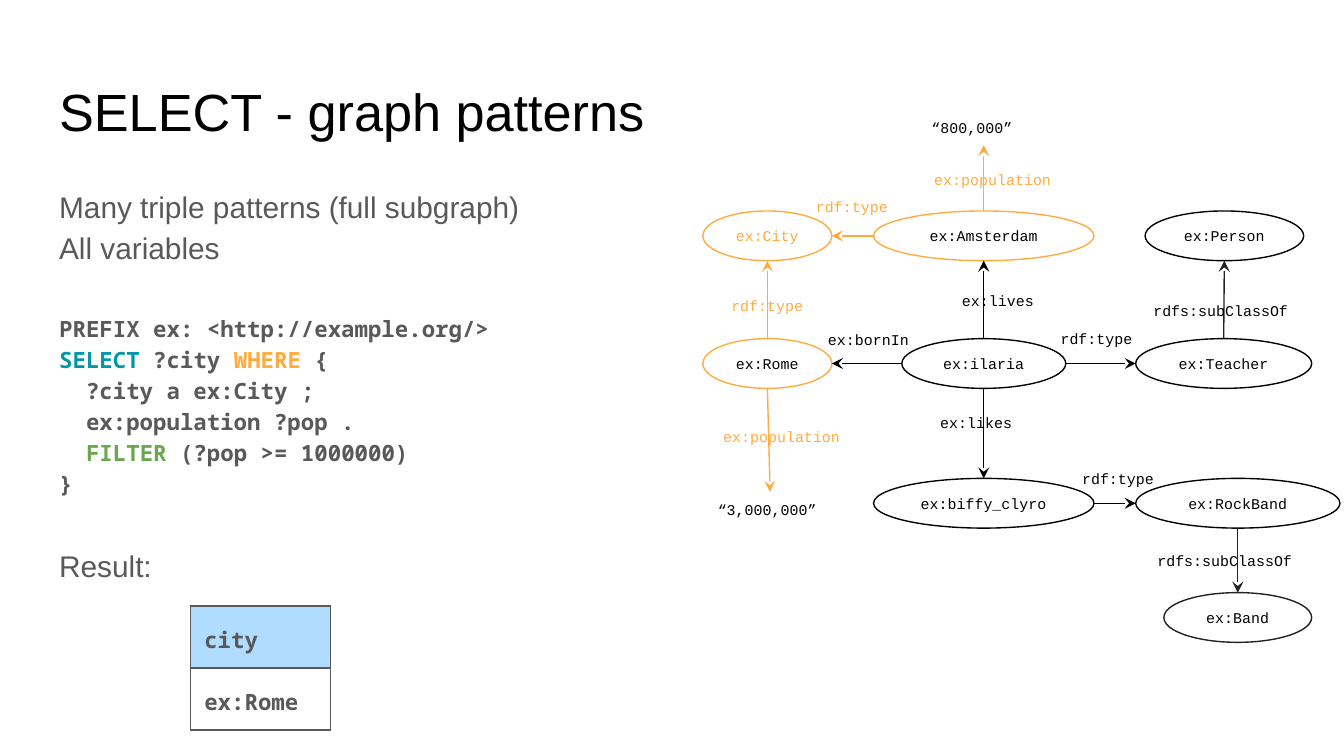
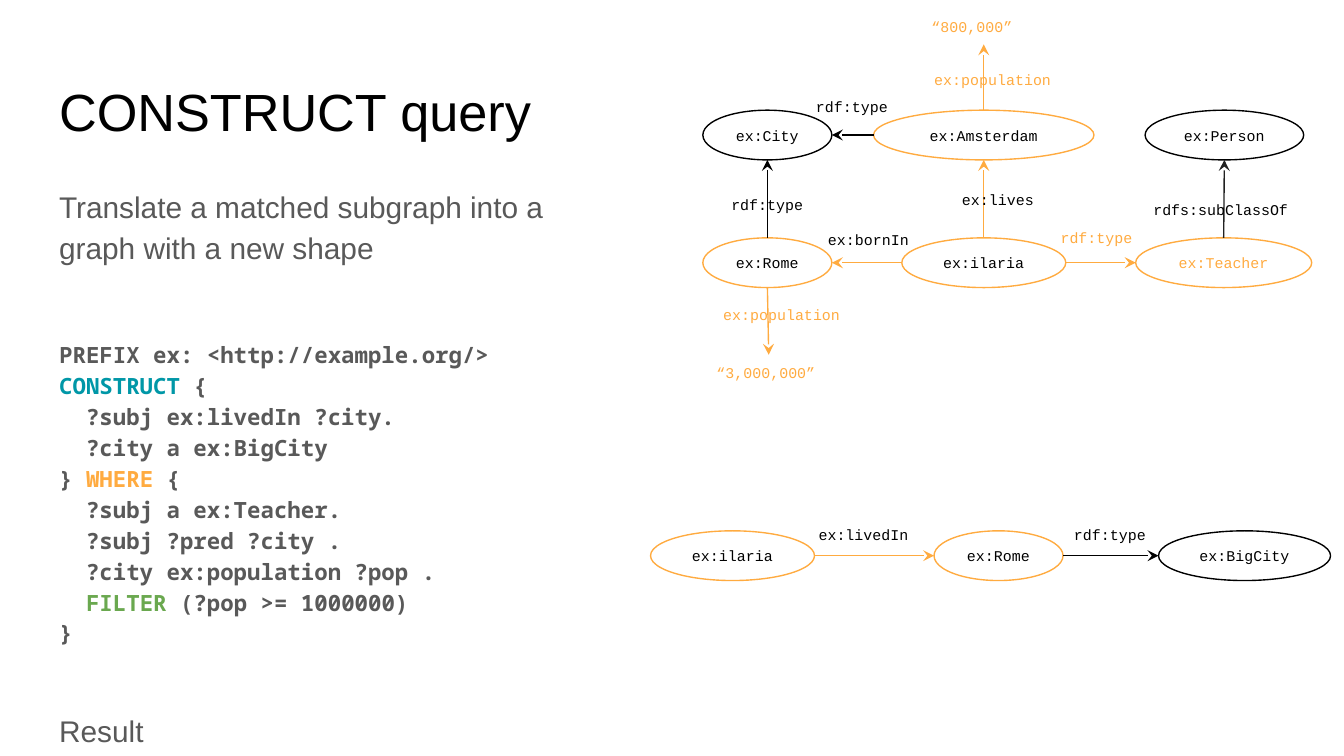
from lxml import etree
from pptx import Presentation
from pptx.dml.color import RGBColor
from pptx.enum.shapes import MSO_CONNECTOR, MSO_SHAPE
from pptx.enum.text import MSO_ANCHOR, MSO_AUTO_SIZE, PP_ALIGN
from pptx.oxml.ns import qn
from pptx.util import Pt

PX = 9144
WIDE, HIGH = 1000, 562.5
LEFT, MID = PP_ALIGN.LEFT, PP_ALIGN.CENTER
TOP, CENTRE = MSO_ANCHOR.TOP, MSO_ANCHOR.MIDDLE
FIXED = MSO_AUTO_SIZE.NONE
OVAL, ROUND = MSO_SHAPE.OVAL, MSO_SHAPE.ROUNDED_RECTANGLE
LINE = MSO_CONNECTOR.STRAIGHT

BLACK, DARK, GREY, GOLD, BLUE = "000000", "212121", "595959", "FFAB40", "0092FF"
HUES = {"SELECT": "0097A7", "CONSTRUCT": "0097A7", "WHERE": GOLD, "FILTER": "6AA84F"}
SANS, MONO, NODE = "Arial", "Noto Sans Mono", "Courier New"
PROSE = (SANS, 16, False, 22.2)
CODE = (MONO, 12, True, 16.55)
UP, WEST, DOWN, EAST = range(4)
OVAL_H, TAG_H = 37, 26

CITY, AMS, ROME = "ex:City", "ex:Amsterdam", "ex:Rome"
ME, TEACH, MAN = "ex:ilaria", "ex:Teacher", "ex:Person"
ACT, ROCK, BAND, BIG = "ex:biffy_clyro", "ex:RockBand", "ex:Band", "ex:BigCity"
SMALL, LARGE = "“800,000”", "“3,000,000”"
TYPE, SUB, POP = "rdf:type", "rdfs:subClassOf", "ex:population"

BASE_NODES = {
    CITY: (0, 0, 96), AMS: (127, 0, 164), MAN: (329, 0, 118),
    ROME: (0, 95, 96), ME: (148, 95, 122), TEACH: (322, 95, 131),
    SMALL: (159, -75, 100),
}
BASE_EDGES = [
    (AMS, WEST, CITY, EAST, TYPE, (73, -16, 88, TAG_H)),
    (AMS, UP, SMALL, DOWN, POP, (161, -36, 121, TAG_H)),
    (ROME, UP, CITY, DOWN, TYPE, (10, 57, 88, TAG_H)),
    (ME, UP, AMS, DOWN, "ex:lives", (182, 57, 79, 19)),
    (ME, WEST, ROME, EAST, "ex:bornIn", (82, 83, 100, TAG_H)),
    (ME, EAST, TEACH, WEST, TYPE, (255, 82, 88, TAG_H)),
    (TEACH, UP, MAN, DOWN, SUB, (324, 61, 125, TAG_H)),
]
BAND_EDGES = [
    (ME, DOWN, ACT, UP, "ex:likes", (165, 139, 96, OVAL_H)),
    (ACT, EAST, ROCK, WEST, TYPE, (271, 186, 88, TAG_H)),
    (ROCK, DOWN, BAND, UP, SUB, (327, 247, 125, TAG_H)),
]
DARK_EDGES = {(TEACH, MAN), (ROCK, BAND)}


def rgb(code):
    return RGBColor.from_string(code)


def emu(*sizes):
    return [int(size * PX) for size in sizes]


def place(shape, box):
    shape.left, shape.top, shape.width, shape.height = emu(*box)


def pad(frame, anchor):
    frame.margin_left = frame.margin_right = 10 * PX
    frame.margin_top = frame.margin_bottom = 10 * PX
    frame.vertical_anchor = anchor
    frame.word_wrap = True
    frame.auto_size = FIXED


def write(para, text, face, size, hue, bold=False):
    run = para.add_run()
    run.text = text
    run.font.name, run.font.size, run.font.bold = face, Pt(size), bold
    run.font.color.rgb = rgb(hue)


def title(slide, text):
    shape = slide.shapes.title
    place(shape, (34, 49, 932, 63))
    pad(shape.text_frame, TOP)
    para = shape.text_frame.paragraphs[0]
    para.alignment, para.line_spacing = LEFT, Pt(33.5)
    write(para, text, SANS, 28, BLACK)


def body(slide, width, blocks):
    shape = slide.placeholders[1]
    place(shape, (34, 126, width, 374))
    frame = shape.text_frame
    pad(frame, TOP)
    para = None
    for gap, (face, size, bold, pitch), lines in blocks:
        for row, line in enumerate(lines):
            para = frame.add_paragraph() if para else frame.paragraphs[0]
            props = para._p.get_or_add_pPr()
            props.set("marL", "0")
            props.set("indent", "0")
            etree.SubElement(props, qn("a:buNone"))
            para.alignment = LEFT
            para.line_spacing = Pt(pitch)
            para.space_before = Pt(0 if row else gap)
            for part in line.split("|"):
                if part:
                    write(para, part, face, size, HUES.get(part, GREY), bold)


def block(slide, kind, box, text, ink, ring=None):
    shape = slide.shapes.add_shape(kind, *emu(*box))
    shape.shadow.inherit = False
    shape.fill.background()
    if ring:
        shape.line.color.rgb = rgb(ring)
        shape.line.width = Pt(0.75)
    else:
        shape.line.fill.background()
    pad(shape.text_frame, CENTRE)
    para = shape.text_frame.paragraphs[0]
    para.alignment = MID if ring else LEFT
    write(para, text, NODE, 8, ink)
    return shape


def port(shape, side):
    mid_x, mid_y = shape.left + shape.width // 2, shape.top + shape.height // 2
    return [(mid_x, shape.top), (shape.left, mid_y),
            (mid_x, shape.top + shape.height), (shape.left + shape.width, mid_y)][side]


def arrow(slide, start, out, end, into, hue):
    link = slide.shapes.add_connector(LINE, *port(start, out), *port(end, into))
    if end.auto_shape_type == ROUND:
        link.end_connect(end, into)
    link.line.color.rgb = rgb(hue)
    link.line.width = Pt(0.75)
    etree.SubElement(link.line._get_or_add_ln(), qn("a:tailEnd"), type="stealth")
    etree.SubElement(link._element.spPr, qn("a:effectLst"))


def graph(slide, x, y, nodes, edges, rings, inks, links, tags):
    made = {}
    for name, (left, top, width) in nodes.items():
        ink = GOLD if name in inks else BLACK
        if name in (SMALL, LARGE):
            box = (x + left, y + top, width, TAG_H)
            made[name] = block(slide, ROUND, box, name, ink)
        else:
            ring = GOLD if name in rings else DARK if name == BAND else BLACK
            box = (x + left, y + top, width, OVAL_H)
            made[name] = block(slide, OVAL, box, name, ink, ring)
    for start, out, end, into, text, (left, top, width, height) in edges:
        pair = (start, end)
        hue = GOLD if pair in links else DARK if pair in DARK_EDGES else BLACK
        arrow(slide, made[start], out, made[end], into, hue)
        block(slide, ROUND, (x + left, y + top, width, height), text,
              GOLD if pair in tags else BLACK)


def border(cell):
    props = cell._tc.get_or_add_tcPr()
    for spot, side in enumerate(("lnL", "lnR", "lnT", "lnB")):
        edge = etree.Element(qn("a:" + side), w=str(Pt(0.75)))
        fill = etree.SubElement(edge, qn("a:solidFill"))
        etree.SubElement(fill, qn("a:srgbClr"), val=GREY)
        props.insert(spot, edge)


def table(slide, x, y, rows):
    grid = slide.shapes.add_table(len(rows), 1, *emu(x, y, 104, 46 * len(rows))).table
    for spot, text in enumerate(rows):
        cell = grid.cell(spot, 0)
        cell.margin_left = cell.margin_right = 10 * PX
        cell.margin_top = cell.margin_bottom = 10 * PX
        if spot:
            cell.fill.background()
        else:
            cell.fill.solid()
            cell.fill.fore_color.rgb = rgb(BLUE)
            tint = cell._tc.tcPr.find(".//" + qn("a:srgbClr"))
            etree.SubElement(tint, qn("a:alpha"), val="31000")
        border(cell)
        para = cell.text_frame.paragraphs[0]
        para.line_spacing = 1.15
        write(para, text, MONO, 12, GREY, True)


def select(slide):
    title(slide, "SELECT - graph patterns")
    body(slide, 932, [
        (0, PROSE, ["Many triple patterns (full subgraph)", "All variables"]),
        (24.6, CODE, ["PREFIX ex: <http://example.org/>",
                      "SELECT| ?city |WHERE| {",
                      "  ?city a ex:City ;",
                      "  ex:population ?pop .",
                      "  |FILTER| (?pop >= 1000000)",
                      "}"]),
        (24, PROSE, ["Result:"]),
    ])
    nodes = BASE_NODES | {LARGE: (0, 209, 100), ACT: (127, 199, 164),
                          ROCK: (322, 199, 152), BAND: (343, 284, 110)}
    fact = (ROME, DOWN, LARGE, UP, POP, (4, 155, 121, TAG_H))
    gold = {(AMS, CITY), (AMS, SMALL), (ROME, CITY), (ROME, LARGE)}
    graph(slide, 523, 157, nodes, BASE_EDGES + BAND_EDGES + [fact],
          {CITY, AMS, ROME}, {CITY}, gold, gold)
    table(slide, 142, 451, ["city", "ex:Rome"])


def construct(slide):
    title(slide, "CONSTRUCT query")
    body(slide, 441, [
        (0, PROSE, ["Translate a matched subgraph into a graph with a new shape"]),
        (38.5, CODE, ["PREFIX ex: <http://example.org/>",
                      "CONSTRUCT| {",
                      "  ?subj ex:livedIn ?city.",
                      "  ?city a ex:BigCity",
                      "} |WHERE| {",
                      "  ?subj a ex:Teacher.",
                      "  ?subj ?pred ?city .",
                      "  ?city ex:population ?pop .",
                      "  |FILTER| (?pop >= 1000000)",
                      "}"]),
        (32.5, PROSE, ["Result"]),
    ])
    fact = (ROME, DOWN, LARGE, UP, POP, (4, 139, 121, TAG_H))
    tags = {(ME, TEACH), (AMS, SMALL), (ROME, LARGE)}
    graph(slide, 523, 82, BASE_NODES | {LARGE: (-1, 182, 100)}, BASE_EDGES + [fact],
          {ME, AMS, ROME, TEACH}, {TEACH, SMALL, LARGE},
          tags | {(ME, ROME), (ME, AMS)}, tags)
    graph(slide, 484, 395,
          {ME: (0, 0, 122), ROME: (211, 0, 96), BIG: (378, 0, 128)},
          [(ME, EAST, ROME, WEST, "ex:livedIn", (114, -10, 100, TAG_H)),
           (ROME, EAST, BIG, WEST, TYPE, (304, -10, 88, TAG_H))],
          {ME, ROME}, set(), {(ME, ROME)}, set())


def main():
    deck = Presentation()
    deck.slide_width, deck.slide_height = emu(WIDE, HIGH)
    for draw in (select, construct):
        draw(deck.slides.add_slide(deck.slide_layouts[1]))
    deck.save("out.pptx")


if __name__ == "__main__":
    main()
